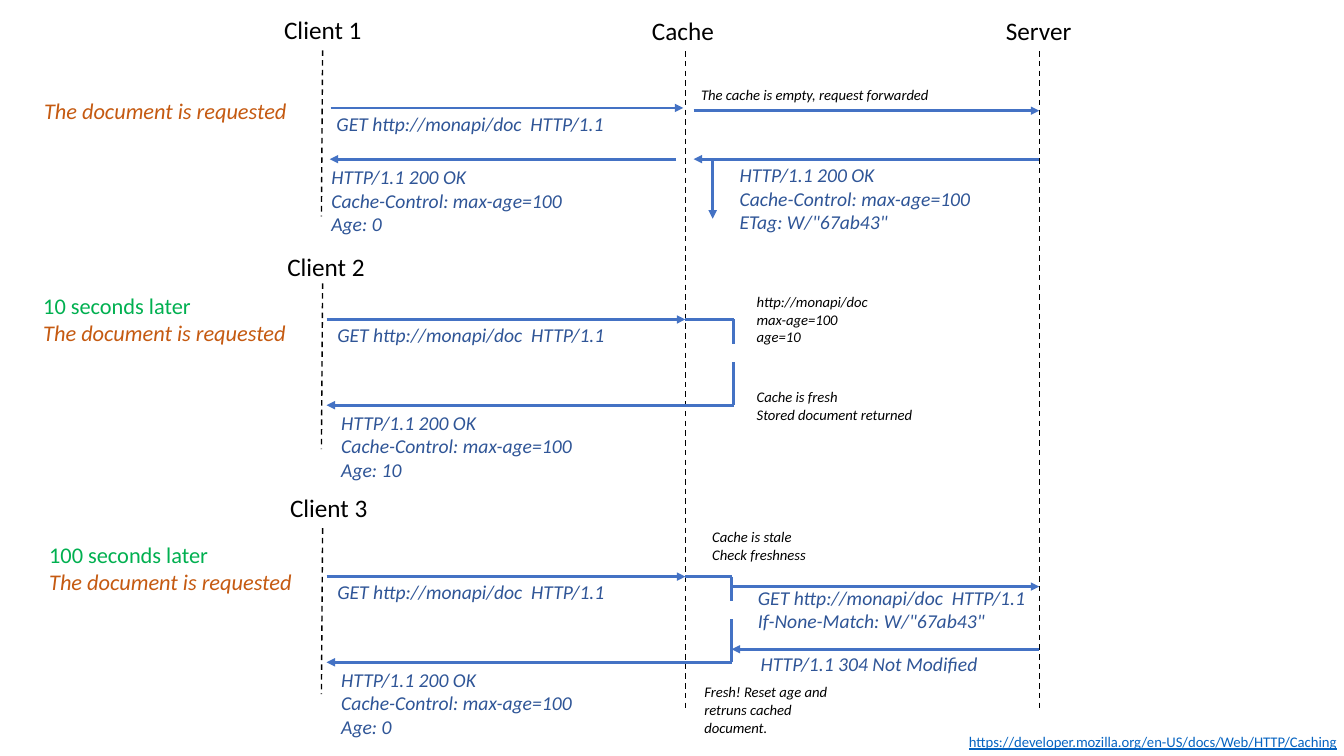
import pptx
import pptx.dml.color
import pptx.enum.dml
import pptx.enum.shapes
import pptx.enum.text
import pptx.oxml.ns
import pptx.util
from lxml import etree

Cm, Pt = pptx.util.Cm, pptx.util.Pt
RGBColor = pptx.dml.color.RGBColor

BLACK = RGBColor(0x00, 0x00, 0x00)
BLUE = RGBColor(0x44, 0x72, 0xC4)
NAVY = RGBColor(0x2F, 0x55, 0x97)
GREEN = RGBColor(0x00, 0xB0, 0x50)
ORANGE = RGBColor(0xC5, 0x5A, 0x11)
LINK = RGBColor(0x05, 0x63, 0xC1)

# Columns in cm, measured from the client lifeline
CLIENT_X = 8.13
CACHE = 9.14
SERVER = 18.06

GET = "GET http://monapi/doc  HTTP/1.1"
OK = "HTTP/1.1 200 OK\nCache-Control: max-age=100\n"
REQUESTED = ("The document is requested", ORANGE, True)


def add_text(s, box, x, y, w, paragraphs, size, wrap=True, underline=False, align=None):
    """Each paragraph is (text, colour, italic); a newline is a line break."""
    lines = sum(text.count("\n") + 1 for text, _, _ in paragraphs)
    h = lines * size * 1.2 / 72 * 2.54 + 0.25
    sp = s.shapes.add_textbox(Cm(box[0] + x), Cm(box[1] + y), Cm(w), Cm(h))
    tf = sp.text_frame
    tf.word_wrap = wrap
    tf.auto_size = pptx.enum.text.MSO_AUTO_SIZE.SHAPE_TO_FIT_TEXT
    for i, (text, color, italic) in enumerate(paragraphs):
        p = tf.add_paragraph() if i else tf.paragraphs[0]
        p.alignment = align
        for j, line in enumerate(text.split("\n")):
            if j:
                p.add_line_break()
            r = p.add_run()
            r.text = line
            r.font.name = "Calibri"
            r.font.size = Pt(size)
            r.font.italic = italic
            r.font.underline = underline
            r.font.color.rgb = color


def add_message(s, box, x, y, w, text):
    add_text(s, box, x, y, w, [(text, NAVY, True)], 14)


def add_note(s, box, x, y, w, text):
    add_text(s, box, x, y, w, [(text, BLACK, True)], 10.5)


def add_heading(s, box, x, y, w, text):
    add_text(s, box, x, y, w, [(text, BLACK, False)], 18, wrap=False)


def add_line(s, box, x1, y1, x2, y2, arrow=False, dashed=False):
    left, top = box
    c = s.shapes.add_connector(
        pptx.enum.shapes.MSO_CONNECTOR.STRAIGHT,
        Cm(left + x1), Cm(top + y1), Cm(left + x2), Cm(top + y2))
    c.line.color.rgb = BLACK if dashed else BLUE
    c.line.width = Pt(1 if dashed else 2)
    if dashed:
        c.line.dash_style = pptx.enum.dml.MSO_LINE.DASH
    if arrow:
        ln = c.line._get_or_add_ln()
        etree.SubElement(ln, pptx.oxml.ns.qn("a:tailEnd"), type="triangle")
    etree.SubElement(c._element.spPr, pptx.oxml.ns.qn("a:effectLst"))


def draw_lifelines(s, box):
    """Cache and server columns, running the height of the slide."""
    for name, x, w in (("Cache", CACHE, 2.08), ("Server", SERVER, 2.18)):
        add_heading(s, box, x - 1.09, 0.25, w, name)
        add_line(s, box, x, 1.29, x, 17.9, dashed=True)


def draw_client(s, box, name, name_x, line_y):
    add_heading(s, box, name_x, 0, 2.49, name)
    add_line(s, box, 0, line_y, -0.03, line_y + 4.18, dashed=True)


def draw_cached_exchange(s, box, y, bend, reply):
    """Request that turns round inside the cache and comes back."""
    back = y + 2.16
    add_line(s, box, 0.1, y, CACHE, y, arrow=True)
    add_line(s, box, CACHE, y, bend, y)
    add_line(s, box, bend, y, bend, y + 0.61)
    add_line(s, box, bend, y + 1.08, bend, back)
    add_line(s, box, bend, back, 0.1, back, arrow=True)
    add_message(s, box, 0.12, y - 0.04, 7.82, GET)
    add_message(s, box, 0.22, back + 0.01, 6.53, reply)


def draw_empty_cache(s, box):
    draw_client(s, box, "Client 1", -1.22, 1.04)
    add_text(s, box, -7.27, 2.08, 7.06, [REQUESTED], 16)
    # Request, passed on to the server
    add_line(s, box, 0.2, 2.49, CACHE - 0.05, 2.49, arrow=True)
    add_message(s, box, 0.1, 2.46, 7.82, GET)
    add_line(s, box, CACHE + 0.21, 2.56, SERVER, 2.56, arrow=True)
    add_note(s, box, 9.29, 1.8, 6.63, "The cache is empty, request forwarded")
    # Response, stored in the cache on the way
    add_line(s, box, SERVER, 3.78, CACHE + 0.21, 3.78, arrow=True)
    add_line(s, box, 9.83, 3.78, 9.83, 5.28, arrow=True)
    add_line(s, box, CACHE - 0.23, 3.78, 0.18, 3.78, arrow=True)
    add_text(s, box, 10.26, 3.76, 6.53,
             [("HTTP/1.1 200 OK\nCache-Control: max-age=100", NAVY, True),
              ('ETag: W/"67ab43"', NAVY, True)], 14)
    add_message(s, box, -0.03, 3.81, 8.46, OK + "Age: 0")


def draw_fresh_cache(s, box):
    draw_client(s, box, "Client 2", -1.14, 0.94)
    add_text(s, box, -7.29, 1.04, 7.06,
             [("10 seconds later", GREEN, False), REQUESTED], 16)
    draw_cached_exchange(s, box, 1.85, 10.36, OK + "Age: 10")
    add_note(s, box, 10.69, 1.06, 4.32, "http://monapi/doc\nmax-age=100\nage=10")
    add_note(s, box, 10.69, 3.45, 4.55, "Cache is fresh\nStored document returned")


def draw_stale_cache(s, box):
    bend = 10.31
    draw_client(s, box, "Client 3", -1.07, 1.04)
    add_text(s, box, -7.14, 1.24, 7.14,
             [("100 seconds later", GREEN, False), REQUESTED], 16)
    draw_cached_exchange(s, box, 2.26, bend, OK + "Age: 0")
    # Freshness check with the server
    add_line(s, box, bend, 2.51, SERVER, 2.51, arrow=True)
    add_line(s, box, SERVER, 4.09, bend, 4.09, arrow=True)
    add_message(s, box, 10.72, 2.36, 7.34, GET + '\nIf-None-Match: W/"67ab43"')
    add_message(s, box, 10.79, 4.04, 6.53, "HTTP/1.1 304 Not Modified")
    add_note(s, box, 9.57, 0.91, 5.66, "Cache is stale\nCheck freshness")
    add_note(s, box, 9.37, 4.82, 4.32, "Fresh! Reset age and retruns cached document.")


def draw_source(s, box):
    url = "https://developer.mozilla.org/en-US/docs/Web/HTTP/Caching"
    add_text(s, box, 0, 0, 10.01, [(url, LINK, False)], 10.5, wrap=False,
             underline=True, align=pptx.enum.text.PP_ALIGN.CENTER)


def main():
    prs = pptx.Presentation()
    prs.slide_width, prs.slide_height = Cm(33.87), Cm(19.05)
    s = prs.slides.add_slide(prs.slide_layouts[6])
    draw_lifelines(s, (CLIENT_X, 0))
    draw_empty_cache(s, (CLIENT_X, 0.23))
    draw_fresh_cache(s, (CLIENT_X, 6.2))
    draw_stale_cache(s, (CLIENT_X, 12.27))
    draw_source(s, (24.05, 18.34))
    prs.save("out.pptx")


if __name__ == "__main__":
    main()
